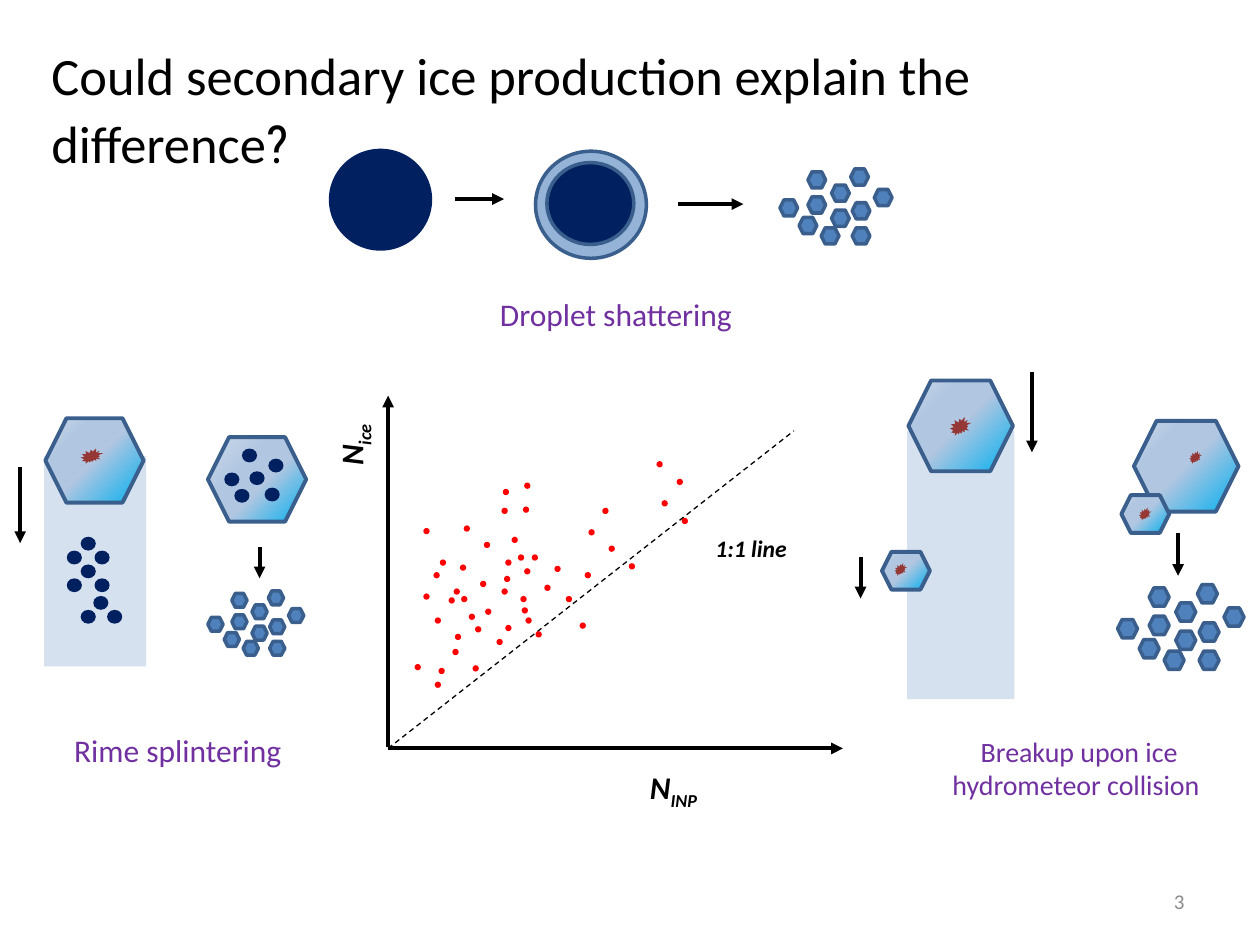
from lxml import etree
from pptx import Presentation
from pptx.dml.color import RGBColor
from pptx.enum.dml import MSO_LINE
from pptx.enum.shapes import MSO_CONNECTOR, MSO_SHAPE
from pptx.enum.text import MSO_ANCHOR, MSO_AUTO_SIZE, PP_ALIGN
from pptx.oxml import parse_xml
from pptx.oxml.ns import nsdecls, qn
from pptx.util import Inches, Pt

BLACK = RGBColor(0x00, 0x00, 0x00)
GRAY = RGBColor(0x8C, 0x8C, 0x8C)
RED = RGBColor(0xFF, 0x00, 0x00)
PURPLE = RGBColor(0x70, 0x30, 0xA0)
WATER = RGBColor(0x00, 0x20, 0x60)
SHELL = RGBColor(0x95, 0xB3, 0xD7)
TRAIL = RGBColor(0xB9, 0xCD, 0xE5)
ICE = RGBColor(0x4F, 0x81, 0xBD)
ICE_EDGE = RGBColor(0x3A, 0x5F, 0x8C)
NUCLEUS = RGBColor(0x95, 0x37, 0x35)

# Scatter of ice against INP number: left, top of each dot
DOT = 0.05
DOTS = [
    (4.13, 4.73), (3.98, 4.67), (4.67, 4.2), (4.16, 4.51), (4.06, 4.26), (3.36, 4.71),
    (3.44, 4.54), (3.6, 4.67), (3.65, 4.48), (3.81, 4.61), (3.29, 5.27), (3.45, 5.41),
    (3.48, 5.3), (3.36, 4.19), (3.68, 4.17), (3.49, 4.44), (3.59, 5.15), (3.84, 4.3),
    (4.01, 4.44), (3.85, 4.83), (3.98, 4.03), (3.94, 5.07), (3.77, 4.97), (5.25, 3.97),
    (3.99, 3.88), (4.17, 4.9), (4.15, 4.02), (3.56, 4.74), (3.45, 4.9), (3.66, 4.73),
    (5.21, 3.66), (3.75, 5.28), (4.01, 4.96), (4.16, 3.83), (5.41, 4.11), (4.25, 5.01),
    (3.72, 4.87), (3.61, 5.03), (4.6, 4.94), (5.37, 3.8), (4.14, 4.82), (4.4, 4.49),
    (4.49, 4.73), (4.32, 4.64), (4.83, 4.33), (4.64, 4.54), (4.11, 4.4), (4, 4.57),
    (4.22, 4.4), (4.99, 4.47), (4.78, 4.03),
]

# Cloud droplets in the rime panel: below the crystal, then caught on it
DROPLET = (0.12, 0.11)
FALLING_DROPLETS = [(0.64, 4.26), (0.75, 4.37), (0.53, 4.37), (0.64, 4.48), (0.75, 4.59),
                    (0.53, 4.59), (0.74, 4.73), (0.85, 4.84), (0.64, 4.84)]
RIMED_DROPLETS = [(1.78, 3.75), (1.98, 3.74), (1.86, 3.88), (1.92, 3.56), (2.13, 3.64),
                  (2.1, 3.87)]

# Ice splinters: offsets within one cluster, scaled for each panel
SPLINTER = (0.12, 0.11)
SPLINTERS = [(0.19, 0.02), (0.19, 0.19), (0.35, 0.11), (0.35, 0.28), (0.13, 0.33),
             (0.49, 0.23), (0.28, 0.4), (0, 0.21), (0.49, 0.4), (0.48, 0), (0.64, 0.14)]

# Breakup panel: large and small crystals, and their nuclei
LARGE, SMALL = (0.83, 0.72), (0.38, 0.3)
CRYSTALS = [(7.21, 3.02, *LARGE), (7, 4.38, *SMALL), (9, 3.34, *LARGE), (8.9, 3.93, *SMALL)]
NUCLEI = [(7.54, 3.31, 0.17, 0.15), (7.1, 4.47, 0.1, 0.1), (9.44, 3.58, 0.1, 0.1),
          (9.04, 4.03, 0.1, 0.1)]
FALL_ARROWS = [(8.19, 2.95, 8.19, 3.59), (6.83, 4.42, 6.83, 4.75), (9.35, 4.23, 9.35, 4.57)]


def add_shape(panel, kind, box, fill=None, edge=None, edge_width=2):
    shape = panel.shapes.add_shape(kind, *map(Inches, box))
    shape.shadow.inherit = False
    if fill is not None:
        shape.fill.solid()
        shape.fill.fore_color.rgb = fill
    if edge is None:
        shape.line.fill.background()
    else:
        shape.line.color.rgb = edge
        shape.line.width = Pt(edge_width)
    return shape


def add_crystal(panel, box, inner=50, outer=73):
    crystal = add_shape(panel, MSO_SHAPE.HEXAGON, box, ICE, ICE_EDGE, 2.25)
    stops = [(0, "00B0F0"), (inner, "B0C6E1"), (outer, "B0C6E1"), (100, "CAD9EB")]
    stops_xml = "".join(f'<a:gs pos="{at * 1000}"><a:srgbClr val="{color}"/></a:gs>'
                        for at, color in stops)
    solid = crystal._element.spPr.find(qn("a:solidFill"))
    solid.getparent().replace(solid, parse_xml(
        f'<a:gradFill {nsdecls("a")} rotWithShape="1"><a:gsLst>{stops_xml}</a:gsLst>'
        '<a:path path="circle"><a:fillToRect l="100000" t="100000"/></a:path></a:gradFill>'))


def add_trail(panel, box):
    trail = add_shape(panel, MSO_SHAPE.RECTANGLE, box, TRAIL)
    color = trail._element.spPr.find(qn("a:solidFill"))[0]
    etree.SubElement(color, qn("a:alpha"), val="58000")


def add_droplets(panel, places):
    for place in places:
        add_shape(panel, MSO_SHAPE.OVAL, (*place, *DROPLET), WATER)


def add_splinters(panel, left, top, scale):
    size = [side * scale for side in SPLINTER]
    for dx, dy in SPLINTERS:
        add_shape(panel, MSO_SHAPE.HEXAGON, (left + dx * scale, top + dy * scale, *size),
                  ICE, ICE_EDGE)


def add_line(panel, ends, width=2.25, arrow=True):
    line = panel.shapes.add_connector(MSO_CONNECTOR.STRAIGHT, *map(Inches, ends))
    line.line.color.rgb = BLACK
    line.line.width = Pt(width)
    if arrow:
        etree.SubElement(line.line._get_or_add_ln(), qn("a:tailEnd"), type="triangle")
    etree.SubElement(line._element.spPr, qn("a:effectLst"))
    return line


def add_text(panel, box, words, size, color, align=PP_ALIGN.LEFT, wrap=True, bold_italic=False):
    label = panel.shapes.add_textbox(*map(Inches, box))
    frame = label.text_frame
    frame.word_wrap = wrap
    frame.auto_size = MSO_AUTO_SIZE.SHAPE_TO_FIT_TEXT
    paragraph = frame.paragraphs[0]
    paragraph.alignment = align
    font = paragraph.font
    font.name, font.size, font.color.rgb = "Calibri", Pt(size), color
    if bold_italic:
        font.bold = font.italic = True
    paragraph.add_run().text = words
    return label


def add_axis_label(panel, box, subscript):
    label = add_text(panel, box, "N", 18, BLACK, wrap=False, bold_italic=True)
    run = label.text_frame.paragraphs[0].add_run()
    run.text = subscript
    run.font._element.set("baseline", "-25000")
    return label


prs = Presentation()
prs.slide_width, prs.slide_height = Inches(10), Inches(7.5)
slide = prs.slides.add_slide(prs.slide_layouts[6])

# Scatter plot
plot = slide.shapes.add_group_shape()
one_to_one = add_line(plot, (3.08, 5.94, 6.3, 3.42), 0.75, arrow=False)
one_to_one.line.dash_style = MSO_LINE.DASH
add_line(plot, (3.08, 5.94, 6.69, 5.94))
add_line(plot, (3.08, 5.93, 3.08, 3.14))
add_axis_label(plot, (2.53, 3.24, 0.61, 0.5), "ice").rotation = 270
add_axis_label(plot, (5.06, 6.05, 0.75, 0.44), "INP")
add_text(plot, (5.58, 4.19, 0.95, 0.35), "1:1 line", 13.5, BLACK, wrap=False, bold_italic=True)
for dot in DOTS:
    add_shape(plot, MSO_SHAPE.OVAL, (*dot, DOT, DOT), RED)

# Slide number and title
number = add_text(slide, (7.17, 6.95, 2.33, 0.4), "3", 12, GRAY, PP_ALIGN.RIGHT)
number.text_frame.auto_size = MSO_AUTO_SIZE.NONE
number.text_frame.vertical_anchor = MSO_ANCHOR.MIDDLE
title = add_text(slide, (0.31, 0.26, 9.4, 0.64),
                 "Could secondary ice production explain the difference", 30, BLACK)
heading = title.text_frame.paragraphs[0]
heading.line_spacing, heading.space_after = 1.07, Pt(8)
question_mark = heading.add_run()
question_mark.text = "?"
question_mark.font.name = "Roboto Condensed"

# Rime splintering
rime = slide.shapes.add_group_shape()
add_trail(rime, (0.35, 3.62, 0.81, 1.67))
add_crystal(rime, (0.36, 3.32, 0.78, 0.67))
add_droplets(rime, FALLING_DROPLETS)
add_crystal(rime, (1.65, 3.47, 0.78, 0.67), 43, 63)
add_droplets(rime, RIMED_DROPLETS)
add_line(rime, (0.16, 3.71, 0.16, 4.31))
add_text(rime, (0.49, 5.75, 2.02, 0.37), "Rime splintering", 18, PURPLE)
add_splinters(rime, 1.65, 4.69, 1)
add_line(rime, (2.06, 4.34, 2.06, 4.59))
add_shape(rime, MSO_SHAPE.EXPLOSION2, (0.64, 3.56, 0.18, 0.12), NUCLEUS)

# Breakup upon collision
add_text(slide, (7.12, 5.78, 2.89, 0.64), "Breakup upon ice hydrometeor collision ", 16, PURPLE,
         PP_ALIGN.CENTER)
breakup = slide.shapes.add_group_shape()
add_trail(breakup, (7.2, 3.42, 0.85, 2.13))
add_splinters(breakup, 8.87, 4.64, 1.32)
for crystal_box in CRYSTALS:
    add_crystal(breakup, crystal_box)
for arrow_ends in FALL_ARROWS:
    add_line(breakup, arrow_ends)
for nucleus_box in NUCLEI:
    add_shape(breakup, MSO_SHAPE.EXPLOSION2, nucleus_box, NUCLEUS)

# Droplet shattering
shattering = slide.shapes.add_group_shape()
add_shape(shattering, MSO_SHAPE.OVAL, (2.61, 1.18, 0.82, 0.81), WATER)
add_line(shattering, (3.61, 1.58, 4, 1.58))
add_shape(shattering, MSO_SHAPE.OVAL, (4.25, 1.2, 0.88, 0.85), SHELL, ICE_EDGE)
add_shape(shattering, MSO_SHAPE.OVAL, (4.34, 1.29, 0.69, 0.65), WATER, ICE_EDGE)
add_line(shattering, (5.38, 1.62, 5.9, 1.62))
add_splinters(shattering, 6.19, 1.34, 1.17)
add_text(shattering, (3.87, 2.29, 3.23, 0.44), "Droplet shattering", 18, PURPLE)

prs.save("out.pptx")
